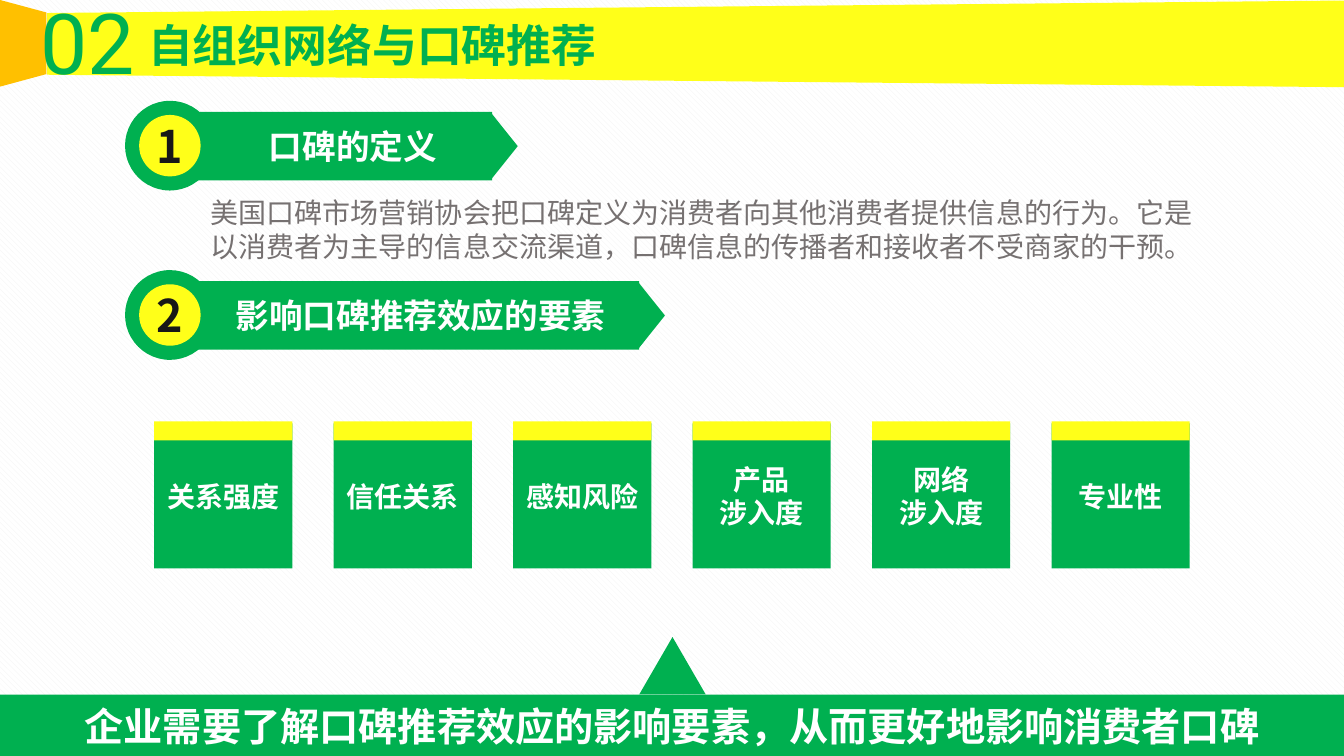
import pptx
import pptx.util
import pptx.dml.color
import pptx.enum.dml
import pptx.enum.shapes
import pptx.enum.text
import pptx.oxml
import pptx.oxml.ns

Inches = pptx.util.Inches
Kind = pptx.enum.shapes.MSO_SHAPE
Align = pptx.enum.text.PP_ALIGN
Anchor = pptx.enum.text.MSO_ANCHOR
GREEN, YELLOW, ORANGE = "00B050", "FFFF19", "FFC000"
WHITE, BLACK, GREY = "FFFFFF", "181717", "767171"


def color(code):
    return pptx.dml.color.RGBColor.from_string(code)


class Deck:
    def __init__(self, wide, high):
        self.show = pptx.Presentation()
        self.show.slide_width = Inches(wide)
        self.show.slide_height = Inches(high)
        self.font = "Noto Sans CJK SC"
        self.slide = self.show.slides.add_slide(self.show.slide_layouts[6])
        self.home = self.slide.shapes

    def hatch(self, fore, back):
        fill = self.slide.background.fill
        fill.patterned()
        fill.pattern = pptx.enum.dml.MSO_PATTERN.WIDE_DOWNWARD_DIAGONAL
        fill.fore_color.rgb = color(fore)
        fill.back_color.rgb = color(back)

    def group(self):
        self.home = self.slide.shapes.add_group_shape().shapes

    def leave(self):
        self.home = self.slide.shapes

    def shape(self, kind, box, fill, turn=0, adjust=None):
        item = self.home.add_shape(kind, *map(Inches, box))
        item.shadow.inherit = False
        item.fill.solid()
        item.fill.fore_color.rgb = color(fill)
        item.line.fill.background()
        item.rotation = turn
        if adjust is not None:
            item.adjustments[0] = adjust
        return item

    def text(self, item, lines, size, ink, bold=True, align=Align.CENTER, font=None):
        frame = item.text_frame
        frame.word_wrap = True
        for index, line in enumerate(lines):
            para = frame.add_paragraph() if index else frame.paragraphs[0]
            para.alignment = align
            run = para.add_run()
            run.text = line
            run.font.size = pptx.util.Pt(size)
            run.font.bold = bold
            run.font.color.rgb = color(ink)
            run.font.name = font or self.font
            east = pptx.oxml.parse_xml(
                f'<a:ea {pptx.oxml.ns.nsdecls("a")} typeface="{self.font}"/>')
            run.font._element.find(pptx.oxml.ns.qn("a:latin")).addnext(east)
        return frame

    def label(self, box, words, size, ink, **style):
        item = self.home.add_textbox(*map(Inches, box))
        return self.text(item, [words], size, ink, **style)

    def panel(self, box, lines, size, fill, ink):
        item = self.shape(Kind.RECTANGLE, box, fill)
        self.text(item, lines, size, ink).vertical_anchor = Anchor.MIDDLE

    def badge(self, top, wide, span, mark, words):
        self.group()
        self.shape(Kind.RECTANGLE, (1.69, top + 0.11, wide, 0.68), GREEN)
        self.shape(Kind.OVAL, (1.24, top, 0.89, 0.89), GREEN)
        disc = self.shape(Kind.OVAL, (1.38, top + 0.14, 0.61, 0.61), YELLOW)
        frame = self.text(disc, [mark], 32, BLACK)
        frame.vertical_anchor = Anchor.MIDDLE
        frame.margin_left = frame.margin_right = 0
        frame.margin_top = frame.margin_bottom = 0
        tip = (1.69 + wide - 0.2, top + 0.32, 0.65, 0.26)
        self.shape(Kind.ISOSCELES_TRIANGLE, tip, GREEN, 90)
        self.label((2.13, top + 0.2, span, 0.5), words, 24, WHITE)
        self.leave()

    def tile(self, left, lines):
        self.group()
        self.panel((left, 4.2, 1.37, 1.44), lines, 20, GREEN, WHITE)
        self.shape(Kind.RECTANGLE, (left, 4.18, 1.37, 0.19), YELLOW)
        self.leave()


def main():
    deck = Deck(13.33, 7.5)
    deck.hatch("F2F2F2", WHITE)
    deck.shape(Kind.TRAPEZOID, (6.47, -6, 0.86, 12.87), YELLOW, 270, 0.144)
    deck.shape(Kind.TRAPEZOID, (-0.2, 0.2, 0.86, 0.46), ORANGE, 90, 0.27)
    deck.label((0.26, -0.14, 1.22, 1.11), "02", 60, GREEN, bold=False, font="Roboto")
    deck.label((1.37, 0.13, 5.21, 0.64), "自组织网络与口碑推荐", 32, GREEN, align=Align.LEFT)
    deck.panel((0, 6.89, 13.33, 0.62),
               ["企业需要了解口碑推荐效应的影响要素，从而更好地影响消费者口碑"],
               28, GREEN, WHITE)
    deck.shape(Kind.ISOSCELES_TRIANGLE, (6.34, 6.32, 0.66, 0.57), GREEN)

    deck.badge(1, 3.19, 2.74, "1", "口碑的定义")
    deck.label((1.99, 1.89, 10.21, 1.11),
               "美国口碑市场营销协会把口碑定义为消费者向其他消费者提供信息的行为。"
               "它是以消费者为主导的信息交流渠道，口碑信息的传播者和接收者不受商家的干预。",
               20, GREY, bold=False, align=Align.LEFT)
    deck.badge(2.68, 4.65, 4.08, "2", "影响口碑推荐效应的要素")

    factors = [["关系强度"], ["信任关系"], ["感知风险"],
               ["产品", "涉入度"], ["网络", "涉入度"], ["专业性"]]
    for index, lines in enumerate(factors):
        deck.tile(1.53 + 1.78 * index, lines)
    deck.show.save("out.pptx")


if __name__ == "__main__":
    main()
